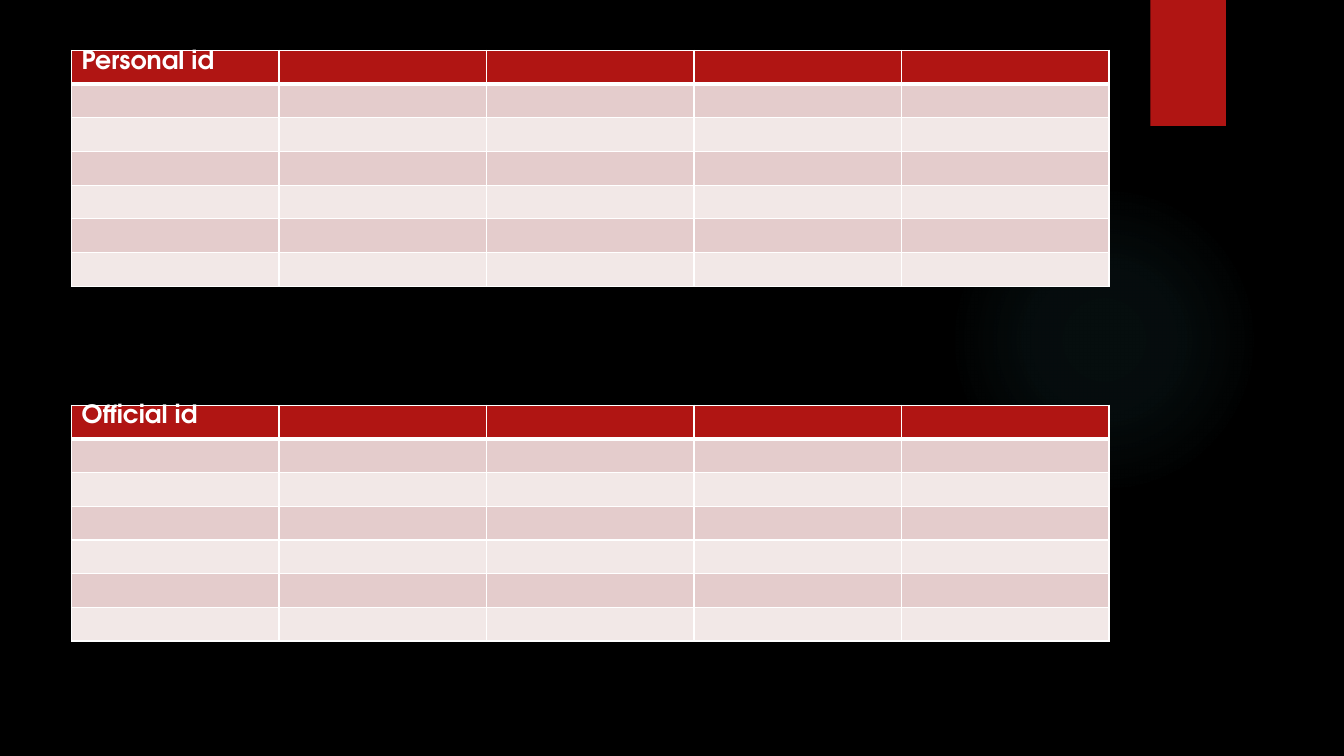
import pptx
import pptx.util
import pptx.dml.color
import pptx.enum.shapes
import pptx.oxml
import pptx.oxml.ns
from pptx.util import Inches

COLORS = {"background": "000000", "accent": "B01513", "glow": "50B9C1",
          "odd": "E4CCCC", "even": "F2E8E7", "white": "FFFFFF"}
FONT = "TeX Gyre Adventor"
NAMESPACE = pptx.oxml.ns.nsdecls("a")


def paint(fill, name):
    fill.solid()
    fill.fore_color.rgb = pptx.dml.color.RGBColor.from_string(COLORS[name])


def add_border(cell, side, points):
    cell._tc.get_or_add_tcPr().append(pptx.oxml.parse_xml(
        f'<a:ln{side} {NAMESPACE} w="{pptx.util.Pt(points)}"><a:solidFill>'
        f'<a:srgbClr val="{COLORS["white"]}"/></a:solidFill></a:ln{side}>'))


deck = pptx.Presentation()
deck.slide_width = Inches(13.33)
deck.slide_height = Inches(7.5)
page = deck.slides.add_slide(deck.slide_layouts[6])
paint(page.background.fill, "background")

shapes = pptx.enum.shapes.MSO_SHAPE
glow = page.shapes.add_shape(shapes.OVAL, Inches(9.41), Inches(1.83), Inches(3.08), Inches(3.08))
glow.shadow.inherit = False
glow.line.fill.background()
stops = "".join(
    f'<a:gs pos="{position * 1000}"><a:srgbClr val="{COLORS["glow"]}">'
    f'<a:alpha val="{opacity * 1000}"/></a:srgbClr></a:gs>'
    for position, opacity in [(0, 7), (36, 6), (69, 0), (100, 0)])
glow._element.spPr.find(pptx.oxml.ns.qn("a:prstGeom")).addnext(pptx.oxml.parse_xml(
    f'<a:gradFill {NAMESPACE}><a:gsLst>{stops}</a:gsLst><a:path path="circle">'
    '<a:fillToRect l="50000" t="50000" r="50000" b="50000"/></a:path></a:gradFill>'))

ribbon = page.shapes.add_shape(shapes.RECTANGLE, Inches(11.41), 0, Inches(0.75), Inches(1.25))
ribbon.shadow.inherit = False
paint(ribbon.fill, "accent")
ribbon.line.fill.background()

for title, top in [("Personal id", 0.5), ("Official id", 4.02)]:
    table = page.shapes.add_table(7, 5, Inches(0.71), Inches(top), Inches(10.29), Inches(2.34)).table
    for row_index, row in enumerate(table.rows):
        for cell in row.cells:
            cell.margin_top = cell.margin_bottom = 0
            for side in "LRTB":
                heavy = (row_index == 0 and side == "B") or (row_index == 1 and side == "T")
                add_border(cell, side, 3 if heavy else 1)
            paint(cell.fill, "accent" if row_index == 0 else "odd" if row_index % 2 else "even")
    heading = table.cell(0, 0).text_frame
    heading.text = title
    span = heading.paragraphs[0].runs[0]
    span.font.name = FONT
    span.font.size = pptx.util.Pt(18)
    span.font.bold = True
    span.font.color.rgb = pptx.dml.color.RGBColor.from_string(COLORS["white"])

deck.save("out.pptx")
